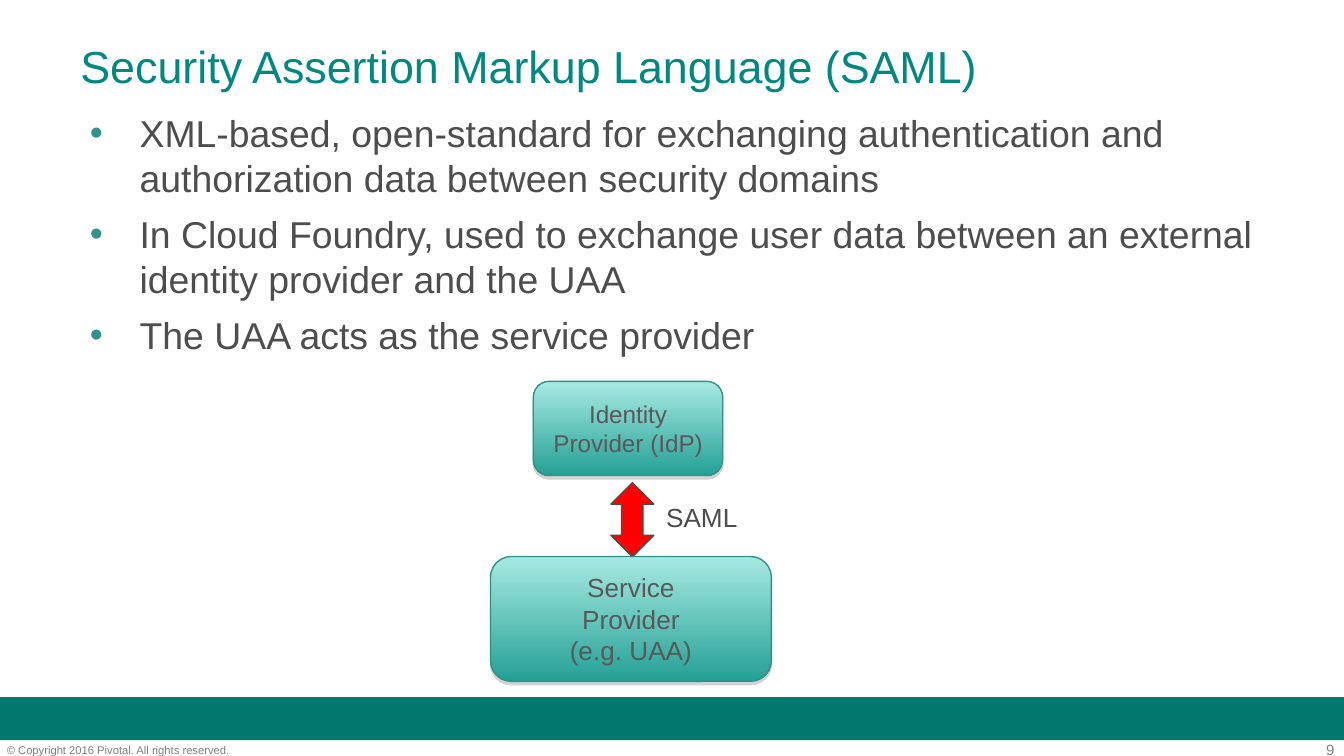
import pptx
import pptx.dml.color
import pptx.enum.shapes
import pptx.enum.text
import pptx.oxml
import pptx.oxml.ns
import pptx.util

Cm = pptx.util.Cm
Pt = pptx.util.Pt
SHAPES = pptx.enum.shapes.MSO_SHAPE
ALIGN = pptx.enum.text.PP_ALIGN
ANCHOR = pptx.enum.text.MSO_ANCHOR

TEAL, GREY, LABEL_GREY, FOOTER_GREY = "00786E", "4D4D4D", "595959", "7F7F7F"
INSETS = {"margin_left": Cm(0.25), "margin_right": Cm(0.25),
          "margin_top": Cm(0.13), "margin_bottom": Cm(0.13)}
NO_INSETS = dict.fromkeys(INSETS, 0)


def rgb(value):
    return pptx.dml.color.RGBColor.from_string(value)


def apply(target, formats):
    for name, value in formats.items():
        setattr(target, name, value)


def add_xml(parent, xml):
    namespace = pptx.oxml.ns.nsdecls("a")
    parent.append(pptx.oxml.parse_xml(xml.replace(">", f" {namespace}>", 1)))


def write(shape, lines, size, color, frame=INSETS, wrap=True,
          anchor=ANCHOR.TOP, align=ALIGN.LEFT, gap=0):
    """Fill a shape with one paragraph per line and return the paragraphs."""
    text_frame = shape.text_frame
    apply(text_frame, {**frame, "word_wrap": wrap, "vertical_anchor": anchor})
    for index, line in enumerate(lines):
        paragraph = text_frame.add_paragraph() if index else text_frame.paragraphs[0]
        paragraph.text = line
        apply(paragraph, {"alignment": align, "line_spacing": Pt(size * 1.2),
                          "space_before": Pt(gap if index else 0)})
        for run in paragraph.runs:
            apply(run.font, {"name": "Arial", "size": Pt(size)})
            run.font.color.rgb = rgb(color)
    return text_frame.paragraphs


def add_text(slide, left, top, width, height, lines, size, color, **formats):
    box = slide.shapes.add_textbox(Cm(left), Cm(top), Cm(width), Cm(height))
    return write(box, lines, size, color, **formats)


def add_plain_shape(slide, kind, left, top, width, height):
    shape = slide.shapes.add_shape(kind, Cm(left), Cm(top), Cm(width), Cm(height))
    shape.shadow.inherit = False
    return shape


def outline(shape, color):
    shape.line.color.rgb = rgb(color)
    shape.line.width = Pt(0.75)


def add_footer(slide, left, top, width):
    bar = add_plain_shape(slide, SHAPES.RECTANGLE, left, top, width, 0.81)
    bar.fill.solid()
    bar.fill.fore_color.rgb = rgb(TEAL)
    bar.line.fill.background()
    add_text(slide, left + width - 1.65, top + 0.82, 1.47, 0.33, ["9"], 8,
             FOOTER_GREY, frame=NO_INSETS, align=ALIGN.RIGHT)
    add_text(slide, left + 0.13, top + 0.87, 6.32, 0.25,
             ["© Copyright 2016 Pivotal. All rights reserved."], 6,
             FOOTER_GREY, frame=NO_INSETS)


def add_bullets(slide, left, top, width, height, points):
    for paragraph in add_text(slide, left, top, width, height, points, 20, GREY, gap=6):
        properties = paragraph._p.get_or_add_pPr()
        properties.set("marL", str(Cm(1.12)))
        properties.set("indent", str(Cm(-0.94)))
        add_xml(properties, '<a:buClr><a:srgbClr val="33928A"/></a:buClr>')
        add_xml(properties, '<a:buFont typeface="Arial"></a:buFont>')
        add_xml(properties, '<a:buChar char="•"></a:buChar>')


def add_provider(slide, left, top, width, height, label, size):
    provider = add_plain_shape(slide, SHAPES.ROUNDED_RECTANGLE, left, top, width, height)
    provider.fill.gradient()
    provider.fill.gradient_angle = 270
    for stop, color in zip(provider.fill.gradient_stops, ("A6EAE2", "25A096")):
        stop.color.rgb = rgb(color)
    outline(provider, "2F9189")
    effects = provider._element.spPr.find(pptx.oxml.ns.qn("a:effectLst"))
    add_xml(effects, f'<a:outerShdw blurRad="0" dist="{Pt(1.8)}" dir="5400000" '
                     'rotWithShape="0"><a:srgbClr val="808080">'
                     '<a:alpha val="35000"/></a:srgbClr></a:outerShdw>')
    write(provider, [label], size, LABEL_GREY, anchor=ANCHOR.MIDDLE, align=ALIGN.CENTER)


def add_saml_diagram(slide, left, top):
    add_text(slide, left + 3.07, top + 2.14, 1.85, 0.86, ["SAML"], 14, GREY, wrap=False)
    exchange = add_plain_shape(slide, SHAPES.LEFT_RIGHT_ARROW,
                               left + 1.98, top + 2.21, 1.4, 0.81)
    exchange.rotation = 90
    exchange.fill.solid()
    exchange.fill.fore_color.rgb = rgb("FF0000")
    outline(exchange, GREY)
    add_provider(slide, left + 0.81, top, 3.58, 1.78, "Identity Provider (IdP)", 13)
    add_provider(slide, left, top + 3.31, 5.31, 2.36, "Service\nProvider\n(e.g. UAA)", 14)


def main():
    deck = pptx.Presentation()
    apply(deck, {"slide_width": Cm(25.4), "slide_height": Cm(14.29)})
    slide = deck.slides.add_slide(deck.slide_layouts[6])
    add_footer(slide, 0, 13.18, 25.4)
    add_text(slide, 1.27, 0.05, 22.86, 2.39,
             ["Security Assertion Markup Language (SAML)"], 24, "008881",
             anchor=ANCHOR.MIDDLE)
    add_bullets(slide, 1.27, 1.96, 22.86, 5.1, [
        "XML-based, open-standard for exchanging authentication and "
        "authorization data between security domains",
        "In Cloud Foundry, used to exchange user data between an external "
        "identity provider and the UAA",
        "The UAA acts as the service provider",
    ])
    add_saml_diagram(slide, 9.27, 7.21)
    deck.save("out.pptx")


if __name__ == "__main__":
    main()
